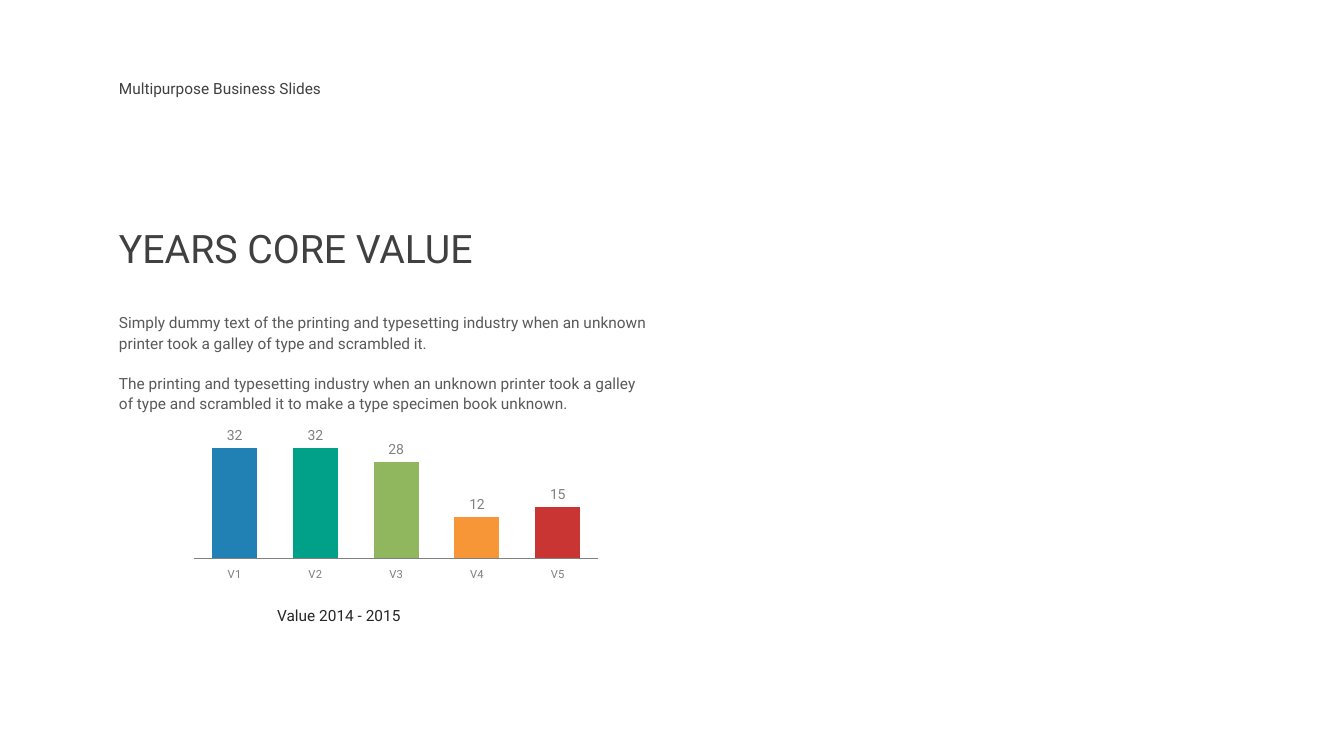
from lxml import etree
from pptx import Presentation
from pptx.chart.data import CategoryChartData
from pptx.dml.color import RGBColor
from pptx.enum.chart import XL_CHART_TYPE, XL_LABEL_POSITION, XL_TICK_LABEL_POSITION, XL_TICK_MARK
from pptx.enum.text import MSO_ANCHOR, MSO_AUTO_SIZE, PP_ALIGN
from pptx.oxml import parse_xml
from pptx.oxml.ns import nsdecls, qn
from pptx.util import Inches, Pt

FONT = "Roboto"
TITLE = "YEARS CORE VALUE"
HEADER = "Multipurpose Business Slides"
CAPTION = "Value 2014 - 2015"
BODY = [
    "Simply dummy text of the printing and typesetting industry when an unknown "
    "printer took a galley of type and scrambled it.",
    "The printing and typesetting industry when an unknown printer took a galley of "
    "type and scrambled it to make a type specimen book unknown.",
]
BARS = [("V1", 32, "2180B4"), ("V2", 32, "00A188"), ("V3", 28, "91B75E"),
        ("V4", 12, "F79636"), ("V5", 15, "C83532")]
PLOT = {"x": 0.06, "y": 0.359, "w": 0.867, "h": 0.506}
LEFT = 1.08


def color(code):
    return RGBColor.from_string(code)


def style(font, size, code):
    font.name, font.size, font.bold = FONT, Pt(size), False
    font.color.rgb = color(code)


def write(shape, box, lines, size, code, align=PP_ALIGN.LEFT, space=None, gap=0):
    """Place a text shape and fill it with formatted paragraphs."""
    shape.left, shape.top, shape.width, shape.height = map(Inches, box)
    frame = shape.text_frame
    frame.word_wrap = True
    frame.auto_size = MSO_AUTO_SIZE.NONE
    frame.vertical_anchor = MSO_ANCHOR.TOP
    frame.text = "\n".join(lines)
    for i, para in enumerate(frame.paragraphs):
        para.alignment = align
        para.line_spacing = space
        para.space_before = Pt(gap if i else 0)
        for run in para.runs:
            style(run.font, size, code)
    return frame


def main():
    deck = Presentation()
    deck.slide_width, deck.slide_height = Inches(13.33), Inches(7.5)
    slide = deck.slides.add_slide(deck.slide_layouts[1])
    shapes = slide.shapes

    # Chart
    data = CategoryChartData()
    data.categories = [name for name, _, _ in BARS]
    data.add_series("Series 1", [value for _, value, _ in BARS])
    chart = shapes.add_chart(XL_CHART_TYPE.COLUMN_CLUSTERED, Inches(1.65), Inches(3.49),
                             Inches(4.62), Inches(2.37), data).chart
    chart.has_legend = chart.has_title = False
    style(chart.font, 10, "808080")

    # Axes
    base = chart.category_axis
    base.major_tick_mark = XL_TICK_MARK.NONE
    base.tick_label_position = XL_TICK_LABEL_POSITION.LOW
    base.format.line.color.rgb = color("808080")
    style(base.tick_labels.font, 8, "808080")
    scale = chart.value_axis
    scale.minimum_scale, scale.maximum_scale = 0, 35
    scale.has_major_gridlines = False
    scale.visible = False

    # Bars and their labels
    plot = chart.plots[0]
    plot.gap_width = 80
    plot.vary_by_categories = False
    series = plot.series[0]
    for i, (_, _, code) in enumerate(BARS):
        fill = series.points[i].format.fill
        fill.solid()
        fill.fore_color.rgb = color(code)
    labels = series.data_labels
    labels.show_value = True
    labels.position = XL_LABEL_POSITION.OUTSIDE_END
    style(labels.font, 10, "808080")

    # Inner plot area
    area = chart._chartSpace.find(".//" + qn("c:plotArea"))
    for old in area.findall(qn("c:layout")):
        area.remove(old)
    layout = parse_xml(f"<c:layout {nsdecls('c')}><c:manualLayout/></c:layout>")
    parts = [("layoutTarget", "inner"), ("xMode", "edge"), ("yMode", "edge"), *PLOT.items()]
    for tag, value in parts:
        etree.SubElement(layout[0], qn("c:" + tag)).set("val", str(value))
    area.insert(0, layout)

    # Texts
    write(shapes.title, (LEFT, 2.18, 6.04, 0.57), [TITLE], 28, "404040")
    body = write(slide.placeholders[1], (LEFT, 3.04, 5.51, 1.12), BODY, 11, "595959",
                 space=1.1, gap=14.2)
    for para in body.paragraphs:
        props = para._p.get_or_add_pPr()
        props.set("marL", "0")
        props.set("indent", "0")
        etree.SubElement(props, qn("a:buNone"))
    write(shapes.add_textbox(0, 0, 0, 0), (2.65, 5.95, 2.52, 0.3), [CAPTION], 11, "262626",
          PP_ALIGN.JUSTIFY, 1.1)
    write(shapes.add_textbox(0, 0, 0, 0), (LEFT, 0.68, 3.21, 0.34), [HEADER], 11, "404040",
          space=Pt(17.3))

    deck.save("out.pptx")


if __name__ == "__main__":
    main()
